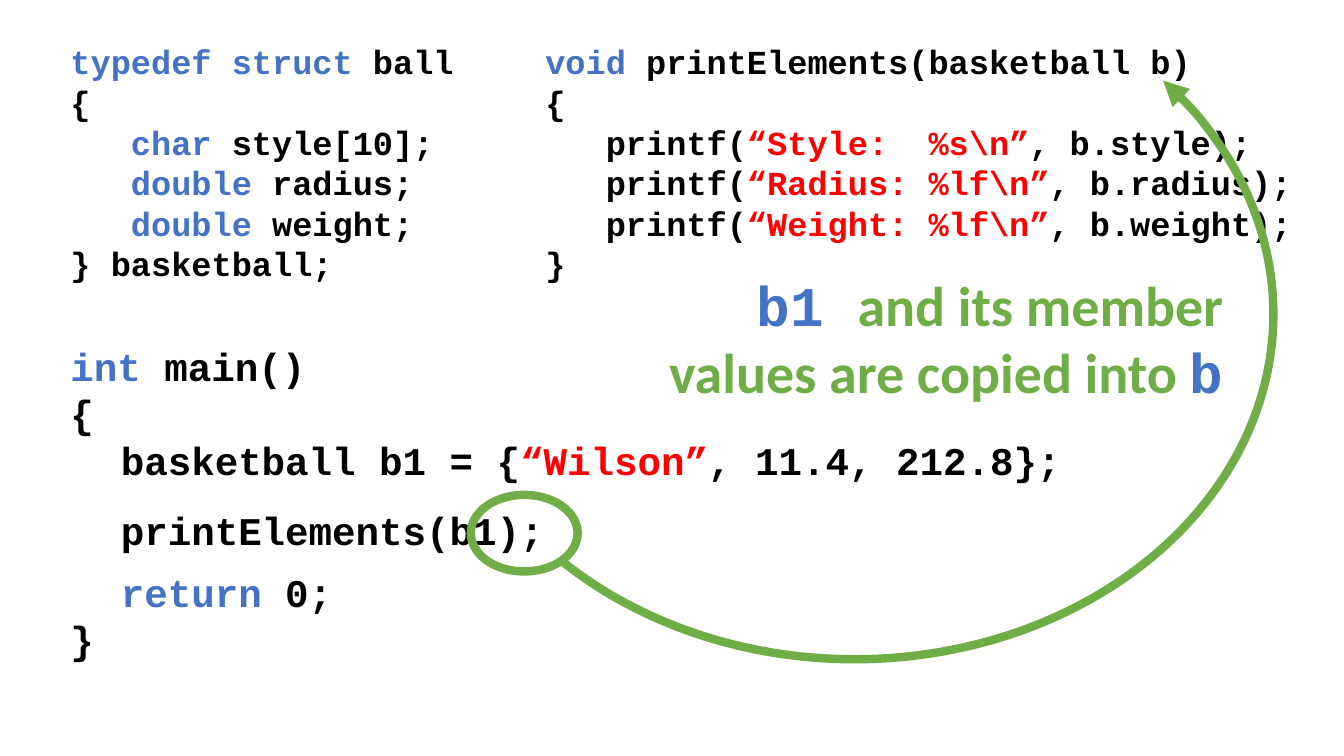
"""Build a slide on passing a struct by value in C."""
from lxml import etree
from pptx import Presentation
from pptx import util as u
from pptx.dml.color import RGBColor
from pptx.enum import shapes, text
from pptx.oxml.ns import qn

COLOURS = {"keyword": "4472C4", "plain": "000000", "string": "FF0000", "accent": "70AD47"}
CODE_FONT, PROSE_FONT = "Courier New", "Calibri"

STRUCT = [
    [("typedef struct", "keyword"), (" ball", "plain")],
    [("{", "plain")],
    [("   char", "keyword"), (" style[10];", "plain")],
    [("   double", "keyword"), (" radius;", "plain")],
    [("   double", "keyword"), (" weight;", "plain")],
    [("} basketball;", "plain")],
]
FIELDS = [
    ("“Style:  %s\\n”", "style"),
    ("“Radius: %lf\\n”", "radius"),
    ("“Weight: %lf\\n”", "weight"),
]
PRINTER = [
    [("void ", "keyword"), ("printElements(basketball b)", "plain")],
    [("{", "plain")],
    *[[("   printf(", "plain"), (label, "string"), (f", b.{member});", "plain")]
      for label, member in FIELDS],
    [("}", "plain")],
]
MAIN = [
    [("int", "keyword"), (" main()", "plain")],
    [("{", "plain")],
    [("\tbasketball b1 = {", "plain"), ("“Wilson”", "string"), (", 11.4, 212.8};", "plain")],
    [("\tprintElements(b1);", "plain")],
    [("\treturn", "keyword"), (" 0;", "plain")],
    [("}", "plain")],
]


def add_frame(slide, box):
    """Add a wrapping text box and return its text frame."""
    frame = slide.shapes.add_textbox(*map(u.Inches, box)).text_frame
    frame.word_wrap = True
    frame.auto_size = text.MSO_AUTO_SIZE.SHAPE_TO_FIT_TEXT
    return frame


def add_words(paragraph, words, colour, size, font=CODE_FONT):
    """Append one bold coloured run to a paragraph."""
    run = paragraph.add_run()
    run.text = words
    run.font.name, run.font.size, run.font.bold = font, u.Pt(size), True
    run.font.color.rgb = RGBColor.from_string(COLOURS[colour])


def code_block(slide, box, lines, size, gaps=None):
    """Place code lines in the box, with extra points before the lines in gaps."""
    frame = add_frame(slide, box)
    for number, line in enumerate(lines):
        paragraph = frame.paragraphs[0] if number == 0 else frame.add_paragraph()
        if gaps and number in gaps:
            paragraph.space_before = u.Pt(gaps[number])
        for words, colour in line:
            add_words(paragraph, words, colour, size)


def copy_note(slide, box):
    """Place the right-aligned explanation in the box."""
    paragraph = add_frame(slide, box).paragraphs[0]
    paragraph.alignment = text.PP_ALIGN.RIGHT
    add_words(paragraph, "b1 ", "keyword", 40)
    add_words(paragraph, "and its member values are copied into ", "accent", 40, PROSE_FONT)
    add_words(paragraph, "b", "keyword", 40)


def outline(slide, kind, box):
    """Draw an unfilled preset shape with a thick green line."""
    ring = slide.shapes.add_shape(kind, *map(u.Inches, box))
    ring.shadow.inherit = False
    ring.fill.background()
    ring.line.color.rgb = RGBColor.from_string(COLOURS["accent"])
    ring.line.width = u.Pt(6)
    return ring


def copy_arrow(slide, box):
    """Circle the argument and sweep an arrow from it to the parameter."""
    left, top, width, height = box
    outline(slide, shapes.MSO_SHAPE.OVAL, (left + 0.35, top + 5.22, 1.06, 0.76))
    sweep = outline(slide, shapes.MSO_SHAPE.ARC, (left, top, width, height))
    sweep.adjustments[0] = 193.74
    sweep.adjustments[1] = 84.15
    etree.SubElement(sweep.line._get_or_add_ln(), qn("a:headEnd"), type="triangle")


def main():
    """Assemble and save the slide."""
    deck = Presentation()
    deck.slide_width, deck.slide_height = u.Inches(13.33), u.Inches(7.5)
    slide = deck.slides.add_slide(deck.slide_layouts[6])
    code_block(slide, (0.6, 0.36, 4.51, 2.52), STRUCT, 24)
    code_block(slide, (5.31, 0.36, 7.69, 2.52), PRINTER, 24)
    code_block(slide, (0.6, 3.35, 11.62, 3.4), MAIN, 28, gaps={3: 16, 4: 11})
    copy_arrow(slide, (4.32, -0.31, 8.31, 6.85))
    copy_note(slide, (6.14, 2.63, 6.09, 1.45))
    deck.save("out.pptx")


if __name__ == "__main__":
    main()
